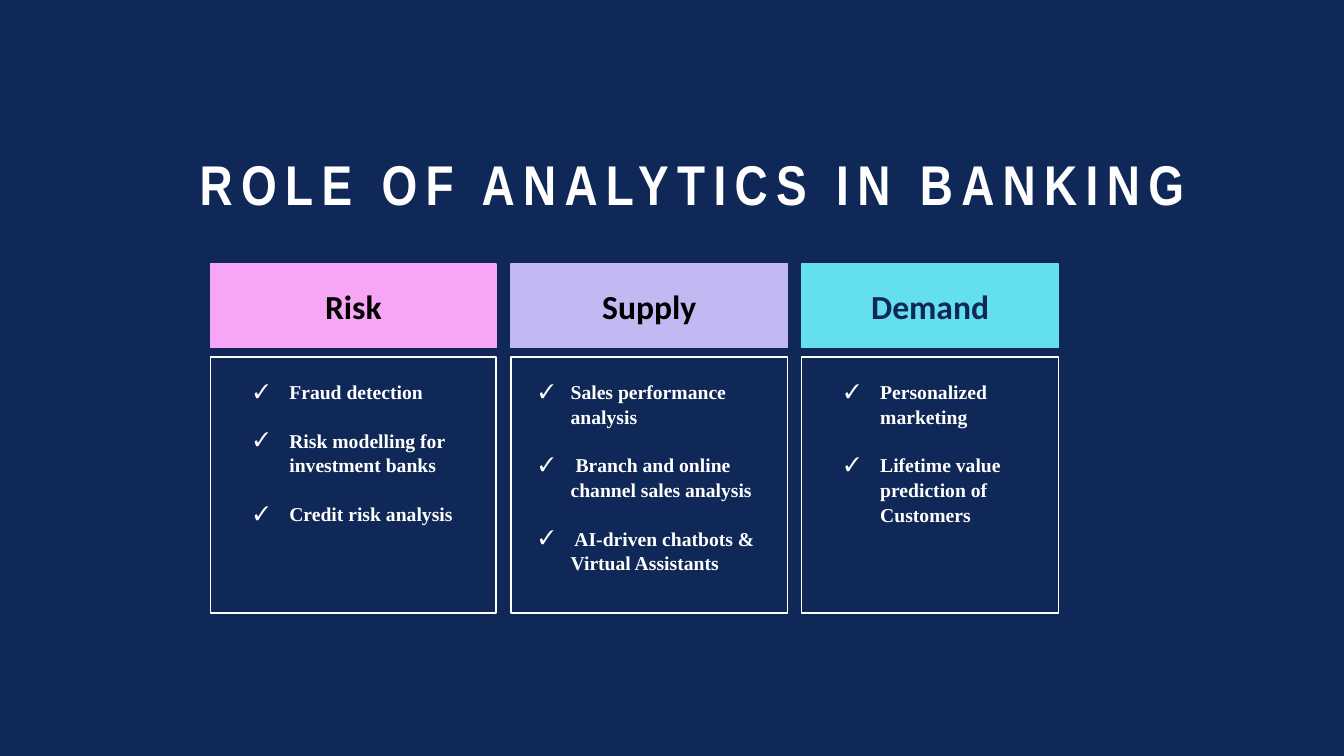
from lxml import etree
from pptx import Presentation
from pptx.dml.color import RGBColor
from pptx.enum.shapes import MSO_SHAPE
from pptx.enum.text import MSO_ANCHOR, MSO_AUTO_SIZE, PP_ALIGN
from pptx.oxml.ns import qn
from pptx.util import Inches, Pt

COLORS = {"navy": "102857", "white": "FFFFFF", "black": "000000",
          "pink": "F6A6F4", "lilac": "C3B9F2", "cyan": "64DFED"}
HEADER_TOP, HEADER_HEIGHT = 2.62, 0.83
LIST_TOP, LIST_HEIGHT = 3.54, 2.54

# heading, left, width, fill, heading color, text indent, bullet hang, items
COLUMNS = [
    ("Risk", 2.09, 2.83, "pink", "black", 0.5, 0.35,
     ["Fraud detection", "Risk modelling for investment banks", "Credit risk analysis"]),
    ("Supply", 5.07, 2.74, "lilac", "black", 0.31, 0.31,
     ["Sales performance analysis", " Branch and online channel sales analysis",
      " AI-driven chatbots & Virtual Assistants"]),
    ("Demand", 7.95, 2.55, "cyan", "navy", 0.5, 0.35,
     ["Personalized marketing", "Lifetime value prediction of Customers"]),
]


def add_box(left, top, width, height, line, fill=None):
    shape = slide.shapes.add_shape(MSO_SHAPE.RECTANGLE, Inches(left), Inches(top),
                                   Inches(width), Inches(height))
    shape.shadow.inherit = False
    if fill:
        shape.fill.solid()
        shape.fill.fore_color.rgb = RGBColor.from_string(COLORS[fill])
    else:
        shape.fill.background()
    shape.line.color.rgb = RGBColor.from_string(COLORS[line])
    shape.line.width = Pt(1)
    shape.text_frame.word_wrap = True
    return shape


def write(paragraph, text, font_name, size, color, align):
    paragraph.alignment = align
    run = paragraph.add_run()
    run.text = text
    for name, value in {"name": font_name, "size": Pt(size), "bold": True}.items():
        setattr(run.font, name, value)
    run.font.color.rgb = RGBColor.from_string(COLORS[color])
    return run


presentation = Presentation()
presentation.slide_width, presentation.slide_height = Inches(13.33), Inches(7.5)
slide = presentation.slides.add_slide(presentation.slide_layouts[5])
slide.background.fill.solid()
slide.background.fill.fore_color.rgb = RGBColor.from_string(COLORS["navy"])

# Title
title = slide.shapes.title
title.left, title.top = Inches(1.65), Inches(1.31)
title.width, title.height = Inches(10.44), Inches(0.9)
title.text_frame.auto_size = MSO_AUTO_SIZE.NONE
title.text_frame.vertical_anchor = MSO_ANCHOR.BOTTOM
paragraph = title.text_frame.paragraphs[0]
paragraph.line_spacing = 0.9
run = write(paragraph, "ROLE OF ANALYTICS IN BANKING", "Arial Narrow", 40, "white",
            PP_ALIGN.CENTER)
run.font._element.set("spc", "600")

for heading, left, width, fill, heading_color, indent, hang, items in COLUMNS:
    # Column header
    header = add_box(left, HEADER_TOP, width, HEADER_HEIGHT, fill, fill)
    header.text_frame.vertical_anchor = MSO_ANCHOR.MIDDLE
    write(header.text_frame.paragraphs[0], heading, "Calibri", 24, heading_color,
          PP_ALIGN.CENTER)

    # Checklist
    frame = add_box(left, LIST_TOP, width, LIST_HEIGHT, "white").text_frame
    frame.vertical_anchor = MSO_ANCHOR.TOP
    margins = {"margin_left": 0.28, "margin_top": 0.22,
               "margin_right": 0.3, "margin_bottom": 0.05}
    for name, value in margins.items():
        setattr(frame, name, Inches(value))
    for index, item in enumerate(items):
        paragraph = frame.add_paragraph() if index else frame.paragraphs[0]
        paragraph.line_spacing = 1.05
        if index:
            paragraph.space_before = Pt(17)
        properties = paragraph._p.get_or_add_pPr()
        properties.set("marL", str(Inches(indent)))
        properties.set("indent", str(-Inches(hang)))
        bullet_color = etree.SubElement(properties, qn("a:buClr"))
        etree.SubElement(bullet_color, qn("a:srgbClr"), val=COLORS["white"])
        etree.SubElement(properties, qn("a:buFont"), typeface="Times New Roman")
        etree.SubElement(properties, qn("a:buChar"), char="✓")
        write(paragraph, item, "Times New Roman", 14, "white", PP_ALIGN.LEFT)

presentation.save("out.pptx")
